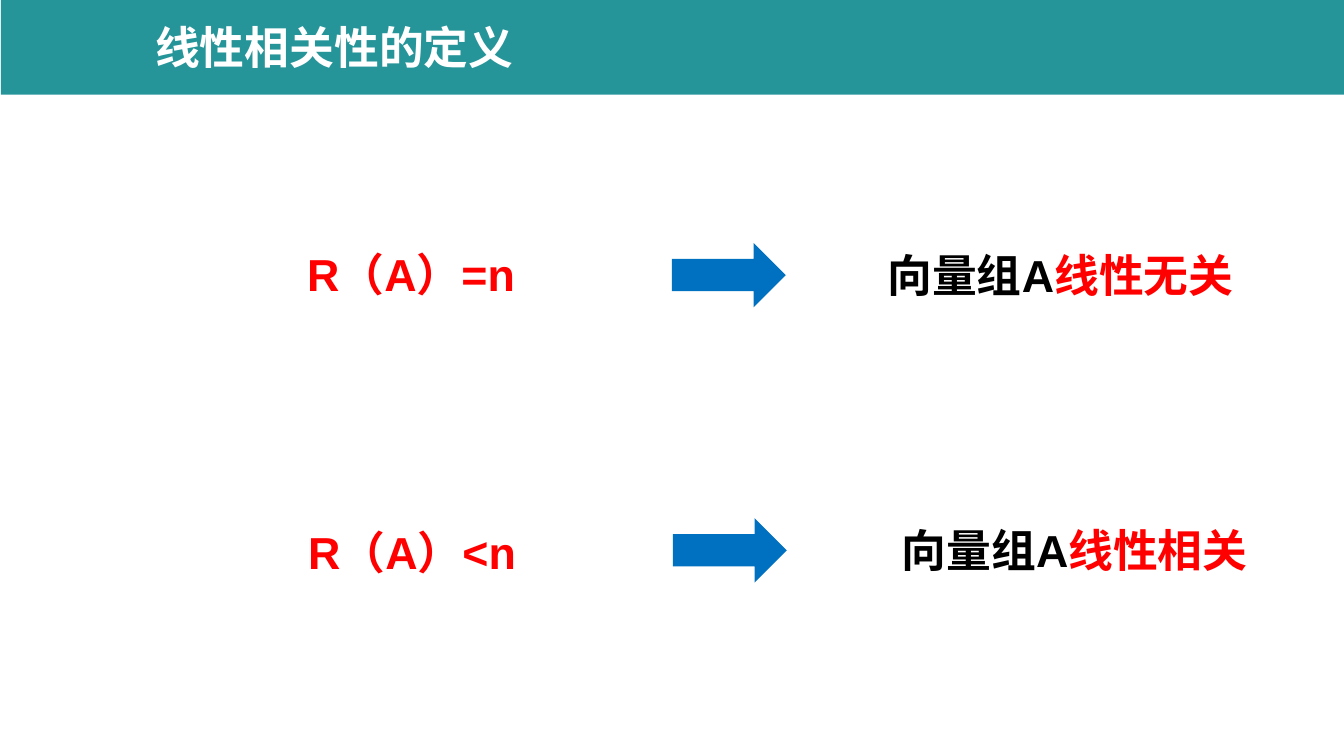
from pptx import Presentation
from pptx.dml.color import RGBColor
from pptx.enum.shapes import MSO_SHAPE as Shape
from pptx.enum.text import MSO_ANCHOR as Anchor, PP_ALIGN as Align
from pptx.util import Inches, Pt

COLORS = {"teal": "269599", "blue": "0070C0", "red": "FF0000",
          "black": "000000", "white": "FFFFFF"}
TITLE = "线性相关性的定义"
RULES = [
    {"condition": ("R（A）=n", (2.95, 2.4, 3.32)),
     "arrow": (6.67, 2.41),
     "result": ("线性无关", (8.71, 2.41, 5.14))},
    {"condition": ("R（A）<n", (2.96, 5.16, 2.99)),
     "arrow": (6.68, 5.14),
     "result": ("线性相关", (8.85, 5.14, 5.14))},
]
SUBJECT = "向量组A"
ROW_HEIGHT = 0.64
ARROW_WIDTH = 1.13


def write(box, *pieces, font="Arial", size=32, anchor=Anchor.TOP):
    frame = box.text_frame
    frame.word_wrap = True
    frame.vertical_anchor = anchor
    para = frame.paragraphs[0]
    para.alignment = Align.LEFT
    for text, color in pieces:
        span = para.add_run()
        span.text = text
        span.font.name = font
        span.font.size = Pt(size)
        span.font.bold = True
        span.font.color.rgb = RGBColor.from_string(COLORS[color])


def add_filled(page, kind, color, *place):
    shape = page.shapes.add_shape(kind, *map(Inches, place))
    shape.shadow.inherit = False
    shape.fill.solid()
    shape.fill.fore_color.rgb = RGBColor.from_string(COLORS[color])
    shape.line.fill.background()
    return shape


def add_text(page, place, *pieces):
    box = page.shapes.add_textbox(*map(Inches, (*place, ROW_HEIGHT)))
    write(box, *pieces)


def main():
    deck = Presentation()
    deck.slide_width, deck.slide_height = Inches(13.34), Inches(7.5)
    page = deck.slides.add_slide(deck.slide_layouts[5])

    title = page.shapes.title
    title.left, title.top = Inches(1.44), Inches(0.14)
    title.width, title.height = Inches(8.5), Inches(0.65)
    write(title, (TITLE, "white"), font="Times New Roman", anchor=Anchor.MIDDLE)
    banner = add_filled(page, Shape.RECTANGLE, "teal", 0.01, -0.04, 13.33, 0.98)
    title.element.addprevious(banner.element)

    for rule in RULES:
        condition, place = rule["condition"]
        add_text(page, place, (condition, "red"))
        add_filled(page, Shape.RIGHT_ARROW, "blue", *rule["arrow"], ARROW_WIDTH, ROW_HEIGHT)
        result, place = rule["result"]
        add_text(page, place, (SUBJECT, "black"), (result, "red"))

    deck.save("out.pptx")


if __name__ == "__main__":
    main()
